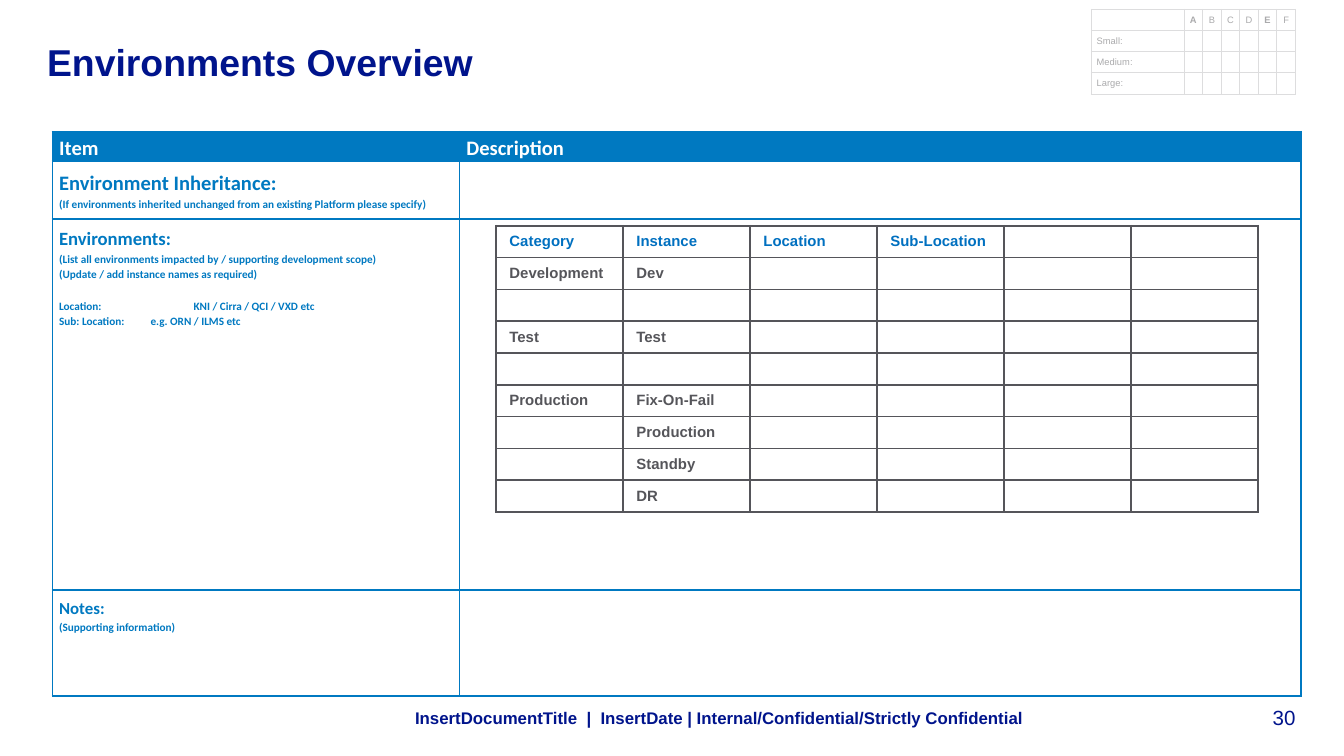
from lxml.etree import SubElement
from pptx import Presentation
from pptx.dml.color import RGBColor
from pptx.enum.text import MSO_ANCHOR, PP_ALIGN
from pptx.oxml.ns import qn
from pptx.util import Inches, Pt

NAVY, BLUE, LINK_BLUE = "00148C", "0079C1", "0070C0"
GREY, PALE_GREY, PALE_LINE, WHITE = "55555A", "AAAAAC", "DDDDDE", "FFFFFF"


def style(para, size, color, bold=True, font="Arial"):
    for span in para.runs:
        span.font.size, span.font.bold, span.font.name = Pt(size), bold, font
        span.font.color.rgb = RGBColor.from_string(color)
    para._p.get_or_add_endParaRPr().set("sz", str(size * 100))


def add_grid(left, top, columns, rows, texts, line, width, margins, size):
    """Add a ruled, unfilled table; texts maps (row, column) to cell text."""
    table = page.shapes.add_table(
        len(rows), len(columns), Inches(left), Inches(top),
        Inches(sum(columns)), Inches(sum(rows))).table
    table.first_row = table.horz_banding = False
    for column, size_in in zip(table.columns, columns):
        column.width = Inches(size_in)
    for row, size_in in zip(table.rows, rows):
        row.height = Inches(size_in)
    for r in range(len(rows)):
        for c in range(len(columns)):
            cell = table.cell(r, c)
            cell.margin_left = cell.margin_right = Inches(margins[0])
            cell.margin_top = cell.margin_bottom = Inches(margins[1])
            properties = cell._tc.get_or_add_tcPr()
            for side in ("a:lnL", "a:lnR", "a:lnT", "a:lnB"):
                border = SubElement(properties, qn(side), w=str(Pt(width)))
                fill = SubElement(border, qn("a:solidFill"))
                SubElement(fill, qn("a:srgbClr"), val=line)
            cell.fill.background()
            cell.text = texts.get((r, c), "")
            for para in cell.text_frame.paragraphs:
                style(para, size, line)
    return table


deck = Presentation()
deck.slide_width = Inches(10)
deck.slide_height = deck.slide_width * 9 // 16
page = deck.slides.add_slide(deck.slide_layouts[6])

# Title, footer and page number
for text, place, size, bold, align, anchor, margin in (
    ("30", (9.06, 5.24, 0.58, 0.19), 11, False,
     PP_ALIGN.RIGHT, MSO_ANCHOR.BOTTOM, 0),
    ("Environments Overview", (0.35, 0.29, 7.08, 0.47), 20, True,
     PP_ALIGN.LEFT, MSO_ANCHOR.TOP, 0),
    ("InsertDocumentTitle  |  InsertDate | Internal/Confidential/Strictly Confidential",
     (2.99, 5.21, 6.33, 0.26), 9, True, PP_ALIGN.LEFT, MSO_ANCHOR.MIDDLE, 0.1),
):
    frame = page.shapes.add_textbox(*map(Inches, place)).text_frame
    frame.word_wrap, frame.vertical_anchor = True, anchor
    frame.margin_left = frame.margin_right = Inches(margin)
    frame.margin_top = frame.margin_bottom = Inches(margin / 2)
    frame.text = text
    frame.paragraphs[0].alignment = align
    style(frame.paragraphs[0], size, NAVY, bold)

# Size legend
legend_texts = {(0, c): letter for c, letter in enumerate("ABCDEF", 1)}
legend_texts |= {(r, 0): label
                 for r, label in enumerate(("Small:", "Medium:", "Large:"), 1)}
legend = add_grid(8.12, 0.07, [0.69] + [0.83 / 6] * 6, [0.63 / 4] * 4,
                  legend_texts, PALE_LINE, 0.5, (0.04, 0), 5)
for r, c in legend_texts:
    cell = legend.cell(r, c)
    cell.vertical_anchor = MSO_ANCHOR.MIDDLE
    para = cell.text_frame.paragraphs[0]
    para.alignment = PP_ALIGN.LEFT if c == 0 else PP_ALIGN.CENTER
    style(para, 5, PALE_GREY, bold=para.text in ("A", "E"))

# Item and description table
overview_texts = {
    (0, 0): "Item",
    (0, 1): "Description",
    (1, 0): "Environment Inheritance:\v(If environments inherited unchanged"
            " from an existing Platform please specify)",
    (2, 0): "Environments:\n"
            "(List all environments impacted by / supporting development scope)\n"
            "(Update / add instance names as required)\n"
            "Location: \tKNI / Cirra / QCI / VXD etc\n"
            "Sub: Location:\te.g. ORN / ILMS etc",
    (3, 0): "Notes:\v(Supporting information)",
}
overview = add_grid(0.39, 0.98, [3.03, 6.26], [0.22, 0.43, 2.76, 0.79],
                    overview_texts, BLUE, 1, (0.05, 0.04), 6)
heading_sizes = (11, 11, 10, 9)
for r, c in overview_texts:
    cell = overview.cell(r, c)
    if r == 0:
        cell.margin_top = cell.margin_bottom = 0
        cell.fill.solid()
        cell.fill.fore_color.rgb = RGBColor.from_string(BLUE)
    paragraphs = cell.text_frame.paragraphs
    for para in paragraphs:
        para.line_spacing = 1.15
        style(para, 6, BLUE if r else WHITE, font="Calibri")
    paragraphs[0].runs[0].font.size = Pt(heading_sizes[r])

location, sub_location = overview.cell(2, 0).text_frame.paragraphs[3:]
location.space_before = Pt(8.4)
for para, stop in ((location, 1), (sub_location, 0.68)):
    tabs = SubElement(para._p.get_or_add_pPr(), qn("a:tabLst"))
    SubElement(tabs, qn("a:tab"), pos=str(Inches(stop)), algn="l")

# Environment instances
instance_rows = (
    ("Category", "Instance", "Location", "Sub-Location"),
    ("Development", "Dev"), (), ("Test", "Test"), (),
    ("Production", "Fix-On-Fail"), ("", "Production"), ("", "Standby"), ("", "DR"),
)
instance_texts = {(r, c): text for r, row in enumerate(instance_rows)
                  for c, text in enumerate(row)}
instances = add_grid(3.69, 1.68, [5.67 / 6] * 6, [2.13 / 9] * 9,
                     instance_texts, GREY, 1, (0.1, 0.04), 8)
for r, c in instance_texts:
    cell = instances.cell(r, c)
    cell.vertical_anchor = MSO_ANCHOR.MIDDLE
    if r == 0:
        style(cell.text_frame.paragraphs[0], 8, LINK_BLUE)

deck.save("out.pptx")
